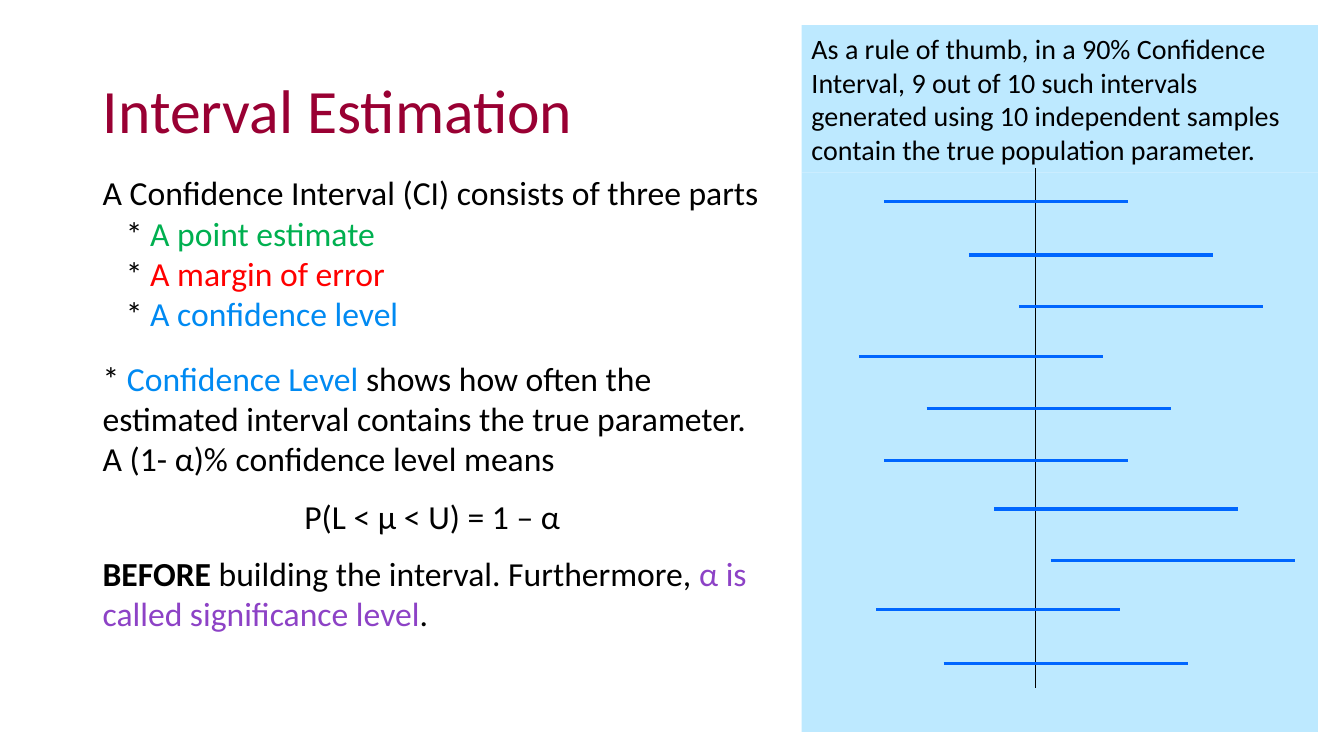
from lxml import etree
from pptx import Presentation
from pptx.dml.color import RGBColor
from pptx.enum.shapes import MSO_CONNECTOR, MSO_SHAPE
from pptx.enum.text import MSO_ANCHOR, MSO_AUTO_SIZE, PP_ALIGN
from pptx.oxml.ns import qn
from pptx.util import Inches, Pt

STRAIGHT = MSO_CONNECTOR.STRAIGHT
RECTANGLE = MSO_SHAPE.RECTANGLE
MIDDLE = MSO_ANCHOR.MIDDLE
NO_AUTOFIT = MSO_AUTO_SIZE.NONE
LEFT = PP_ALIGN.LEFT

FONT = "Calibri"
COLORS = {
    "title": "990033",
    "text": "000000",
    "panel": "BDE9FF",
    "interval": "0066FF",
    "estimate": "00B050",
    "error": "FF0000",
    "level": "008AF2",
    "significance": "8D42C6",
}
TEXT_LEFT, TEXT_WIDTH = 0.92, 6.73
PANEL_LEFT, PANEL_WIDTH = 7.95, 5.12
PARAMETER_X = 10.27
INTERVAL_LENGTH = 2.42
INTERVALS = [
    (8.77, 2), (9.61, 2.53), (10.11, 3.04), (8.52, 3.54), (9.19, 4.05),
    (8.77, 4.57), (9.86, 5.05), (10.42, 5.56), (8.69, 6.05), (9.36, 6.58),
]
PARTS = [
    ("A point estimate", "estimate"),
    ("A margin of error", "error"),
    ("A confidence level", "level"),
]


class SlideBuilder:
    def __init__(self, slide):
        self.slide = slide

    def style(self, run, size, color="text", bold=False):
        run.font.name = FONT
        run.font.size = Pt(size)
        run.font.bold = bold
        run.font.color.rgb = RGBColor.from_string(COLORS[color])

    def title(self, text, left, top, width, height):
        shape = self.slide.shapes.title
        shape.left, shape.top = Inches(left), Inches(top)
        shape.width, shape.height = Inches(width), Inches(height)
        frame = shape.text_frame
        frame.text = text
        frame.auto_size = NO_AUTOFIT
        frame.vertical_anchor = MIDDLE
        paragraph = frame.paragraphs[0]
        paragraph.alignment = LEFT
        paragraph.line_spacing = 0.9
        self.style(paragraph.runs[0], 44, "title")

    def panel(self, top, height, text=""):
        shape = self.slide.shapes.add_shape(
            RECTANGLE, Inches(PANEL_LEFT), Inches(top), Inches(PANEL_WIDTH), Inches(height))
        shape.shadow.inherit = False
        shape.fill.solid()
        shape.fill.fore_color.rgb = RGBColor.from_string(COLORS["panel"])
        shape.line.fill.background()
        if text:
            frame = shape.text_frame
            frame.text = text
            frame.word_wrap = True
            frame.vertical_anchor = MIDDLE
            paragraph = frame.paragraphs[0]
            paragraph.alignment = LEFT
            self.style(paragraph.runs[0], 20)

    def text(self, top, height, paragraphs):
        box = self.slide.shapes.add_textbox(
            Inches(TEXT_LEFT), Inches(top), Inches(TEXT_WIDTH), Inches(height))
        frame = box.text_frame
        frame.word_wrap = True
        for index, (indent, space_before, runs) in enumerate(paragraphs):
            paragraph = frame.paragraphs[0] if index == 0 else frame.add_paragraph()
            if indent:
                properties = paragraph._p.get_or_add_pPr()
                properties.set("marL", str(Inches(indent)))
                properties.set("indent", "0")
            if space_before:
                paragraph.space_before = Pt(space_before)
            for text, color, bold in runs:
                run = paragraph.add_run()
                run.text = text
                self.style(run, 24, color, bold)

    def line(self, start, end, color, width):
        connector = self.slide.shapes.add_connector(
            STRAIGHT, *(Inches(value) for value in (*start, *end)))
        connector.line.color.rgb = RGBColor.from_string(COLORS[color])
        connector.line.width = Pt(width)
        etree.SubElement(connector._element.spPr, qn("a:effectLst"))


def main():
    presentation = Presentation()
    presentation.slide_width = Inches(13.33)
    presentation.slide_height = Inches(7.5)
    slide = presentation.slides.add_slide(presentation.slide_layouts[5])
    builder = SlideBuilder(slide)

    builder.title("Interval Estimation", TEXT_LEFT, 0.4, 11.5, 1.45)
    builder.panel(1.71, 5.55)
    builder.panel(0.25, 1.46, (
        "As a rule of thumb, in a 90% Confidence Interval, 9 out of 10 such intervals "
        "generated using 10 independent samples contain the true population parameter."))

    heading = (0, 0, [("A Confidence Interval (CI) consists of three parts", "text", False)])
    parts = [(0.23, 0, [("* ", "text", False), (part, color, False)]) for part, color in PARTS]
    builder.text(1.66, 1.72, [heading, *parts])

    builder.text(3.5, 2.86, [
        (0, 0, [
            ("* ", "text", False),
            ("Confidence Level ", "level", False),
            ("shows how often the estimated interval contains the true parameter. "
             "A (1- α)% confidence level means", "text", False),
        ]),
        (2, 12, [("P(L < μ < U) = 1 – α", "text", False)]),
        (0, 12, [
            ("BEFORE", "text", True),
            (" building the interval. Furthermore, ", "text", False),
            ("α is called significance level", "significance", False),
            (".", "text", False),
        ]),
    ])

    builder.line((PARAMETER_X, 1.67), (PARAMETER_X, 6.83), "text", 0.75)
    for left, y in INTERVALS:
        builder.line((left, y), (left + INTERVAL_LENGTH, y), "interval", 2.25)

    presentation.save("out.pptx")


if __name__ == "__main__":
    main()
